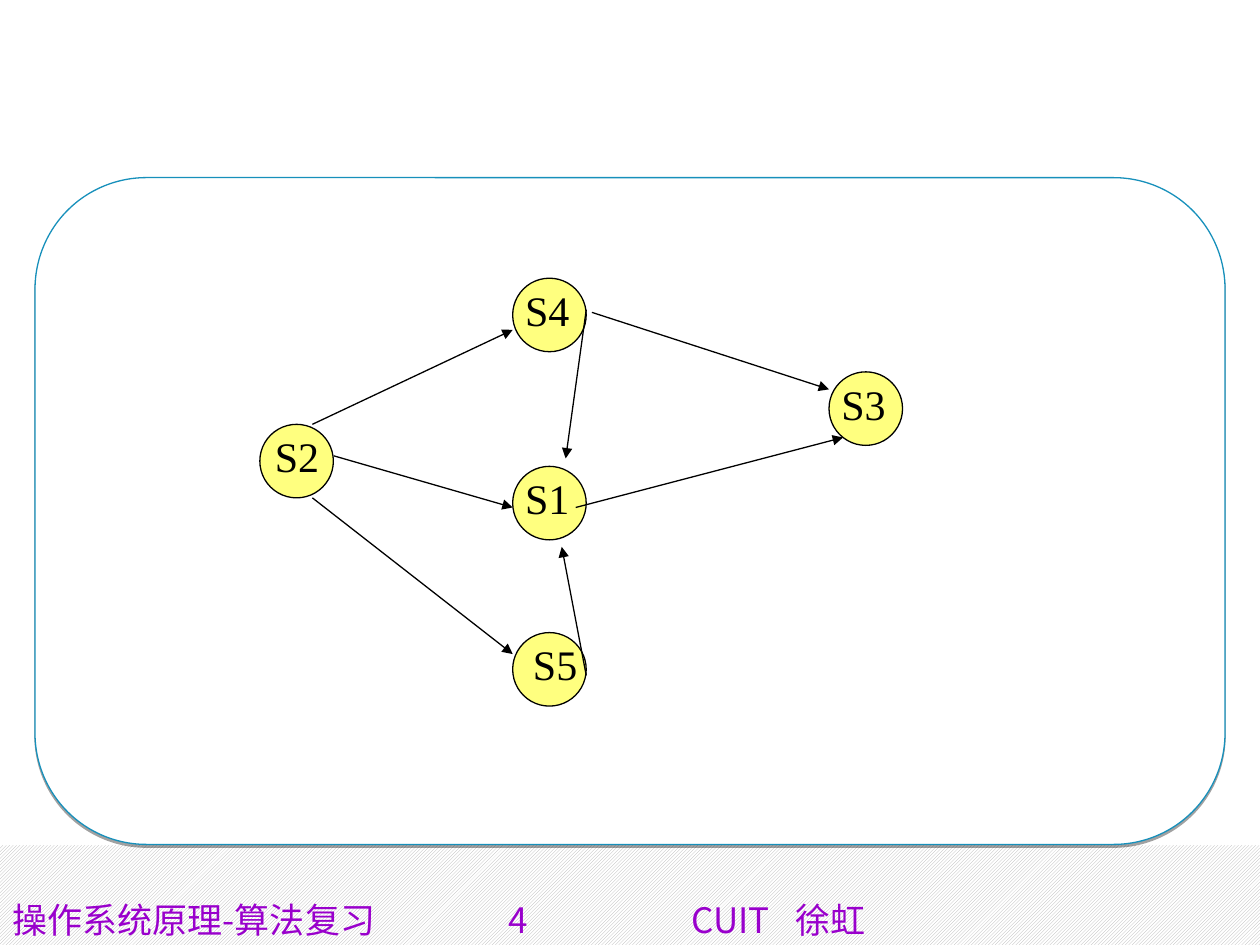
from lxml.etree import SubElement
from pptx import Presentation
from pptx.dml.color import RGBColor
from pptx.enum.dml import MSO_PATTERN as PATTERN
from pptx.enum.shapes import MSO_CONNECTOR as CONNECTOR, MSO_SHAPE as SHAPE
from pptx.enum.text import MSO_ANCHOR as ANCHOR
from pptx.oxml.ns import qn
from pptx.util import Pt

NODE_SIZE = 42
LINE_WIDTH = 0.75
LABEL_FORMAT = {"name": "Times New Roman", "size": Pt(24)}
FOOTER_FORMAT = {"name": "Noto Sans CJK SC", "size": Pt(20)}
FOOTER_TABS = (283.5, 388, 447.5)

# name: (left, top, label shift, label width)
NODES = {
    "S2": (128.5, 141, 1.5, 54),
    "S4": (273, 57.5, 0, 44),
    "S1": (273, 165, 0, 50),
    "S5": (273, 260, 4.5, 44),
    "S3": (453.75, 111, 0, 42),
}
EDGES = (
    ("S2", (30, 0), "S4", (0, 29.5)),
    ("S2", (42.25, 18), "S1", (0, 23.5)),
    ("S2", (30, 42), "S5", (0, 12.25)),
    ("S4", (42, 18), "S1", (30.25, -4.5)),
    ("S1", (36, 23.5), "S3", (8, 37.5)),
    ("S5", (42, 24.5), "S1", (28, 46)),
    ("S4", (45.25, 19.5), "S3", (0, 10)),
)


def color(value):
    """Return the colour of a hex string."""
    return RGBColor.from_string(value)


def add_element(parent, tag, **attributes):
    """Append a drawing element and return it."""
    return SubElement(parent, qn(tag), attributes)


def add_filled_shape(slide, kind, box, fill, line):
    """Add a shape without shadow, with a solid fill and a thin line."""
    shape = slide.shapes.add_shape(kind, *map(Pt, box))
    shape.shadow.inherit = False
    shape.fill.solid()
    shape.fill.fore_color.rgb = color(fill)
    shape.line.color.rgb = color(line)
    shape.line.width = Pt(LINE_WIDTH)
    return shape


def add_text(slide, box, text, text_color, text_format, tabs=()):
    """Add a one-paragraph text box with optional tab stops."""
    frame = slide.shapes.add_textbox(*map(Pt, box)).text_frame
    frame.word_wrap = True
    frame.vertical_anchor = ANCHOR.MIDDLE if tabs else ANCHOR.TOP
    paragraph = frame.paragraphs[0]
    if tabs:
        tab_list = add_element(paragraph._p.get_or_add_pPr(), "a:tabLst")
        for position in tabs:
            add_element(tab_list, "a:tab", pos=str(Pt(position)), algn="l")
    run = paragraph.add_run()
    run.text = text
    for name, value in text_format.items():
        setattr(run.font, name, value)
    run.font.color.rgb = color(text_color)
    add_element(run._r.get_or_add_rPr(), "a:ea", typeface=text_format["name"])


def add_footer(slide, box):
    """Draw the hatched band and its line of text."""
    left, top, width, height = box
    band = slide.shapes.add_shape(SHAPE.RECTANGLE, *map(Pt, box))
    band.shadow.inherit = False
    band.fill.patterned()
    band.fill.pattern = PATTERN.DARK_UPWARD_DIAGONAL
    band.fill.fore_color.rgb = color("B2B2B2")
    band.fill.back_color.rgb = color("FFFFFF")
    band.line.fill.background()
    text_height = 28.8
    add_text(slide, (left, top + height - text_height, width, text_height),
             "操作系统原理-算法复习\t4\tCUIT\t徐虹", "9900CC", FOOTER_FORMAT, FOOTER_TABS)


def add_panel(slide, box):
    """Draw the rounded panel with its hard shadow below."""
    panel = add_filled_shape(slide, SHAPE.ROUNDED_RECTANGLE, box, "FFFFFF", "1790BB")
    panel.adjustments[0] = 0.167
    effects = panel._element.spPr.find(qn("a:effectLst"))
    shadow = add_element(effects, "a:outerShdw", blurRad="0", dist=str(Pt(1.6)),
                         dir="5400000", rotWithShape="0")
    shade = add_element(shadow, "a:srgbClr", val="000000")
    add_element(shade, "a:alpha", val="37000")


def add_node(slide, box, name, label_shift, label_width):
    """Draw a translucent circle and its label."""
    left, top, _, _ = box
    circle = add_filled_shape(slide, SHAPE.OVAL, box, "FFFF00", "000000")
    fill = circle._element.spPr.find(qn("a:solidFill"))
    add_element(fill[0], "a:alpha", val="50000")
    add_text(slide, (left + label_shift, top, label_width, 36), name, "000000", LABEL_FORMAT)


def add_arrow(slide, start, end):
    """Draw a thin black arrow."""
    arrow = slide.shapes.add_connector(CONNECTOR.STRAIGHT, *map(Pt, start + end))
    arrow.line.color.rgb = color("000000")
    arrow.line.width = Pt(LINE_WIDTH)
    add_element(arrow.line._get_or_add_ln(), "a:tailEnd", type="triangle")
    add_element(arrow._element.spPr, "a:effectLst")


def add_graph(slide, box):
    """Draw the precedence graph inside its box."""
    left, top, _, _ = box
    for name, (x, y, label_shift, label_width) in NODES.items():
        add_node(slide, (left + x, top + y, NODE_SIZE, NODE_SIZE),
                 name, label_shift, label_width)

    def anchor(name, offset):
        """Return the point at an offset from a node's corner."""
        return left + NODES[name][0] + offset[0], top + NODES[name][1] + offset[1]

    for source, source_offset, target, target_offset in EDGES:
        add_arrow(slide, anchor(source, source_offset), anchor(target, target_offset))


def main():
    """Build and save the slide."""
    presentation = Presentation()
    presentation.slide_width, presentation.slide_height = Pt(720), Pt(540)
    slide = presentation.slides.add_slide(presentation.slide_layouts[6])
    panel_box = (20, 101.5, 680, 381)
    add_footer(slide, (0, 483, 720, 57))
    add_panel(slide, panel_box)
    add_graph(slide, panel_box)
    presentation.save("out.pptx")


if __name__ == "__main__":
    main()
